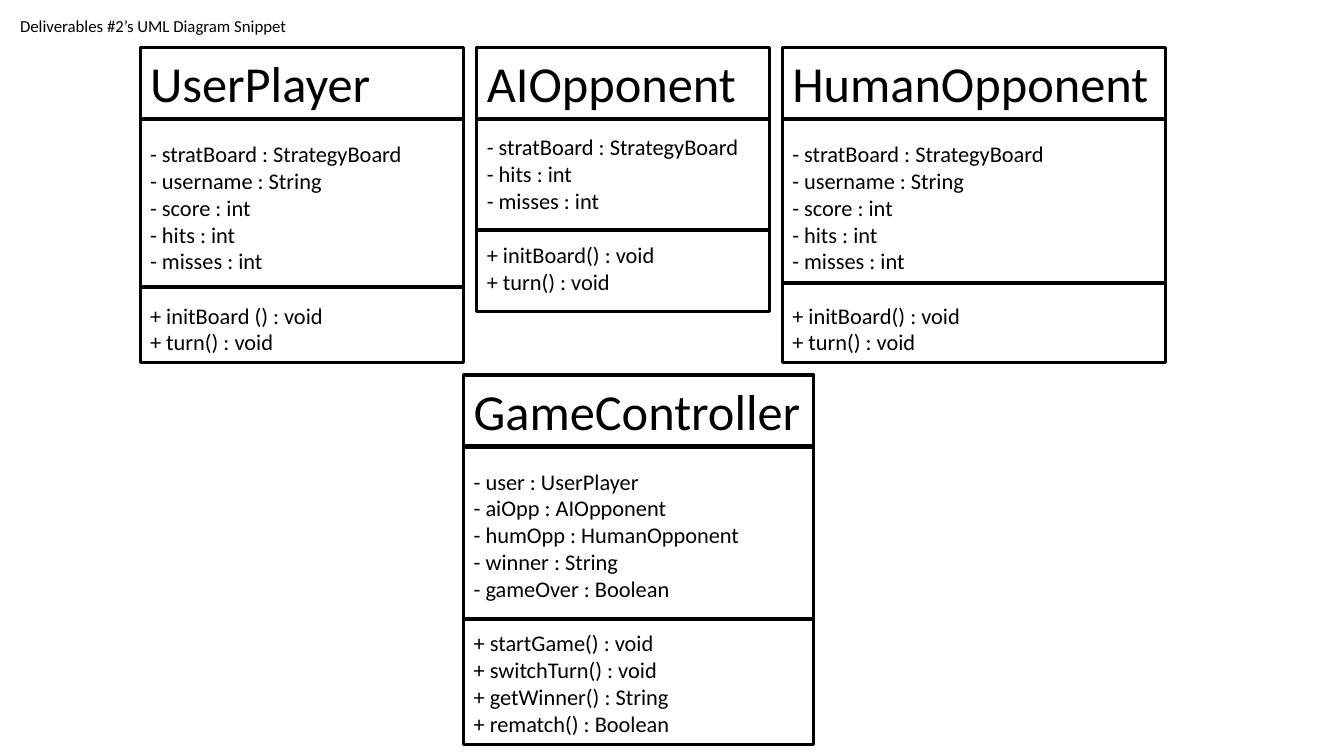
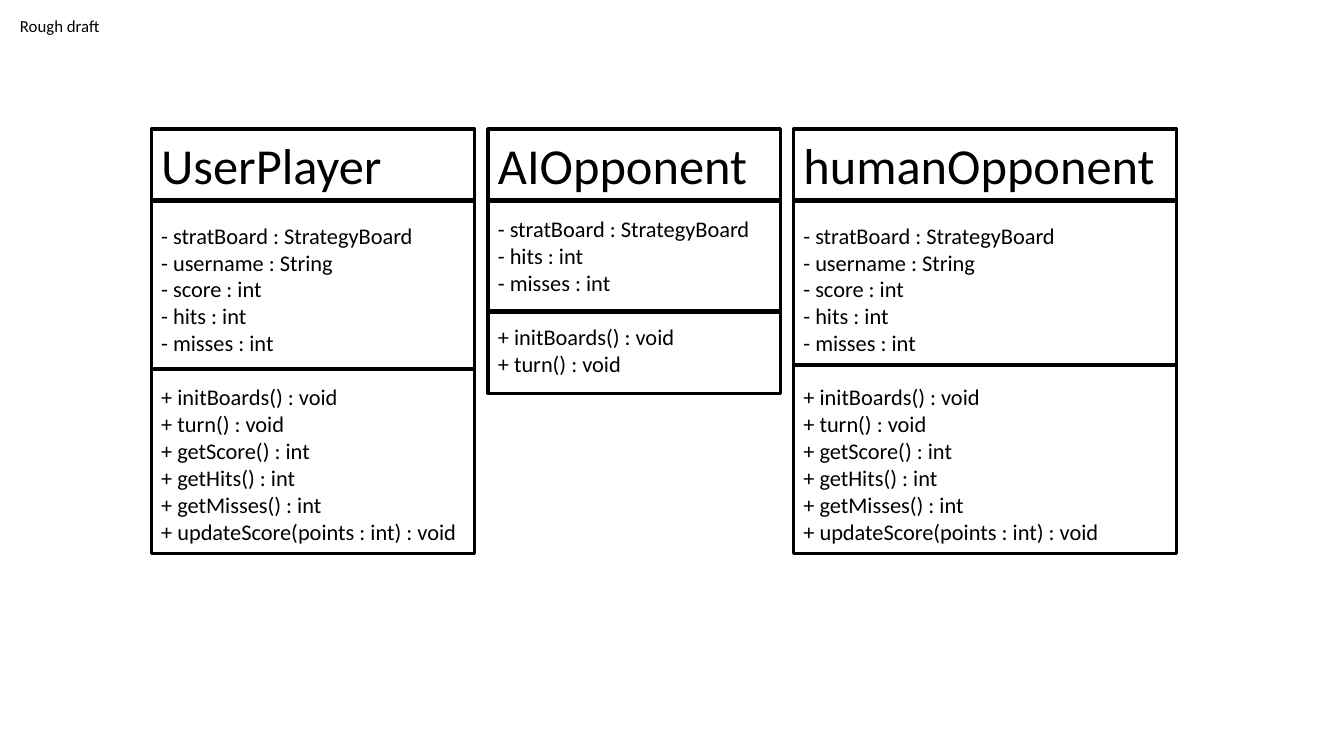
import dataclasses

import lxml.etree
import pptx
import pptx.dml.color
import pptx.enum.shapes
import pptx.enum.text
import pptx.oxml.ns
import pptx.util

Inches = pptx.util.Inches
Pt = pptx.util.Pt


@dataclasses.dataclass(frozen=True)
class Theme:
    font: str = "Calibri"
    ink: pptx.dml.color.RGBColor = pptx.dml.color.RGBColor(0, 0, 0)
    paper: pptx.dml.color.RGBColor = pptx.dml.color.RGBColor(255, 255, 255)
    caption_size: float = 12
    class_name_size: float = 36
    member_size: float = 16
    outline: float = 2.25
    divider: float = 3


@dataclasses.dataclass(frozen=True)
class UmlClass:
    name: str
    attributes: tuple
    methods: tuple
    width: float
    height: float
    methods_top: float
    attributes_gap: float = 19.5


THEME = Theme()
NAME_HEIGHT = 0.71
METHODS_GAP = 19.5
COLUMN_GAP = 0.13

AI_ATTRIBUTES = ("- stratBoard : StrategyBoard", "- hits : int", "- misses : int")
PLAYER_ATTRIBUTES = (
    AI_ATTRIBUTES[0], "- username : String", "- score : int", *AI_ATTRIBUTES[1:]
)
TURN = "+ turn() : void"
FINAL_METHODS = ("+ initBoard() : void", TURN)
DRAFT_METHODS = ("+ initBoards() : void", TURN)
DRAFT_PLAYER_METHODS = DRAFT_METHODS + (
    "+ getScore() : int",
    "+ getHits() : int",
    "+ getMisses() : int",
    "+ updateScore(points : int) : void",
)


def user_player(methods, height):
    return UmlClass("UserPlayer", PLAYER_ATTRIBUTES, methods, 3.21, height, 2.38)


def ai_opponent(methods):
    return UmlClass("AIOpponent", AI_ATTRIBUTES, methods, 2.9, 2.62, 1.81, 14.6)


def human_opponent(name, methods, height):
    return UmlClass(name, PLAYER_ATTRIBUTES, methods, 3.8, height, 2.34)


FINAL_CLASSES = (
    user_player(("+ initBoard () : void", TURN), 3.13),
    ai_opponent(FINAL_METHODS),
    human_opponent("HumanOpponent", FINAL_METHODS, 3.13),
)
DRAFT_CLASSES = (
    user_player(DRAFT_PLAYER_METHODS, 4.21),
    ai_opponent(DRAFT_METHODS),
    human_opponent("humanOpponent", DRAFT_PLAYER_METHODS, 4.21),
)
GAME_CONTROLLER = UmlClass(
    "GameController",
    (
        "- user : UserPlayer",
        "- aiOpp : AIOpponent",
        "- humOpp : HumanOpponent",
        "- winner : String",
        "- gameOver : Boolean",
    ),
    (
        "+ startGame() : void",
        "+ switchTurn() : void",
        "+ getWinner() : String",
        "+ rematch() : Boolean",
    ),
    3.47, 3.67, 2.42,
)


def write_line(frame, text, *, size=THEME.member_size, space_before=0):
    paragraph = frame.add_paragraph() if frame.text else frame.paragraphs[0]
    paragraph.alignment = pptx.enum.text.PP_ALIGN.LEFT
    paragraph.space_before = Pt(space_before)
    run = paragraph.add_run()
    run.text = text
    run.font.name = THEME.font
    run.font.size = Pt(size)
    run.font.color.rgb = THEME.ink


def write_members(frame, members, gap):
    for index, member in enumerate(members):
        write_line(frame, member, space_before=0 if index else gap)


def add_caption(slide, text, width):
    shape = slide.shapes.add_textbox(
        Inches(0.1), Inches(0.11), Inches(width), Inches(0.3)
    )
    shape.text_frame.word_wrap = False
    write_line(shape.text_frame, text, size=THEME.caption_size)


def add_divider(group, left, top, width):
    connector = group.shapes.add_connector(
        pptx.enum.shapes.MSO_CONNECTOR.STRAIGHT,
        Inches(left), Inches(top), Inches(left + width), Inches(top),
    )
    connector.line.color.rgb = THEME.ink
    connector.line.width = Pt(THEME.divider)
    lxml.etree.SubElement(
        connector._element.spPr, pptx.oxml.ns.qn("a:effectLst")
    )


def add_class(slide, uml_class, left, top):
    group = slide.shapes.add_group_shape()
    shape = group.shapes.add_shape(
        pptx.enum.shapes.MSO_SHAPE.RECTANGLE,
        Inches(left), Inches(top), Inches(uml_class.width), Inches(uml_class.height),
    )
    shape.shadow.inherit = False
    shape.fill.solid()
    shape.fill.fore_color.rgb = THEME.paper
    shape.line.color.rgb = THEME.ink
    shape.line.width = Pt(THEME.outline)
    frame = shape.text_frame
    frame.word_wrap = True
    frame.vertical_anchor = pptx.enum.text.MSO_ANCHOR.TOP
    write_line(frame, uml_class.name, size=THEME.class_name_size)
    write_members(frame, uml_class.attributes, uml_class.attributes_gap)
    write_members(frame, uml_class.methods, METHODS_GAP)
    for offset in (NAME_HEIGHT, uml_class.methods_top):
        add_divider(group, left, top + offset, uml_class.width)


def add_class_row(slide, classes, left, top):
    for uml_class in classes:
        add_class(slide, uml_class, left, top)
        left += uml_class.width + COLUMN_GAP


def add_diagram_slide(presentation, caption, caption_width, classes, left, top):
    slide = presentation.slides.add_slide(presentation.slide_layouts[6])
    add_caption(slide, caption, caption_width)
    add_class_row(slide, classes, left, top)
    return slide


def main():
    presentation = pptx.Presentation()
    presentation.slide_width = Inches(13.33)
    presentation.slide_height = Inches(7.5)
    final_slide = add_diagram_slide(
        presentation, "Deliverables #2’s UML Diagram Snippet", 2.92,
        FINAL_CLASSES, 1.39, 0.47,
    )
    add_class(final_slide, GAME_CONTROLLER, 4.6, 3.72)
    add_diagram_slide(presentation, "Rough draft", 1, DRAFT_CLASSES, 1.5, 1.28)
    presentation.save("out.pptx")


if __name__ == "__main__":
    main()
